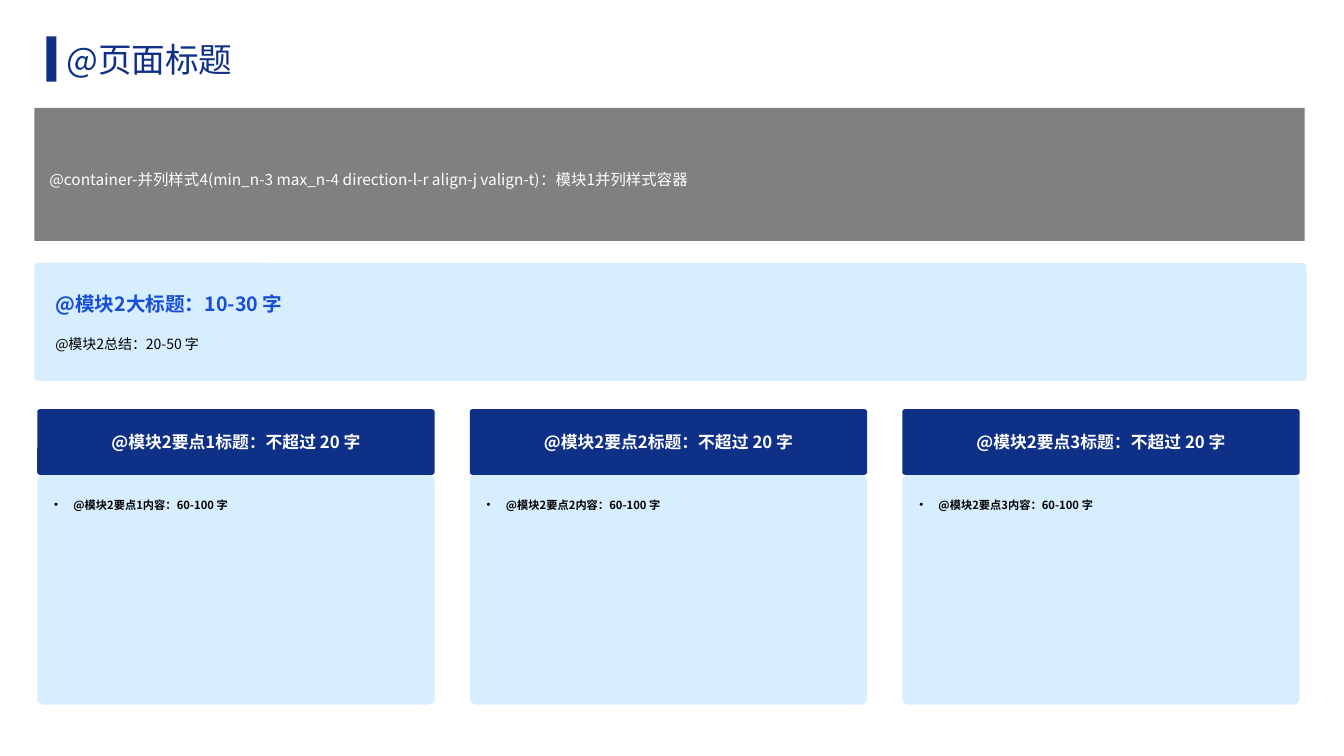
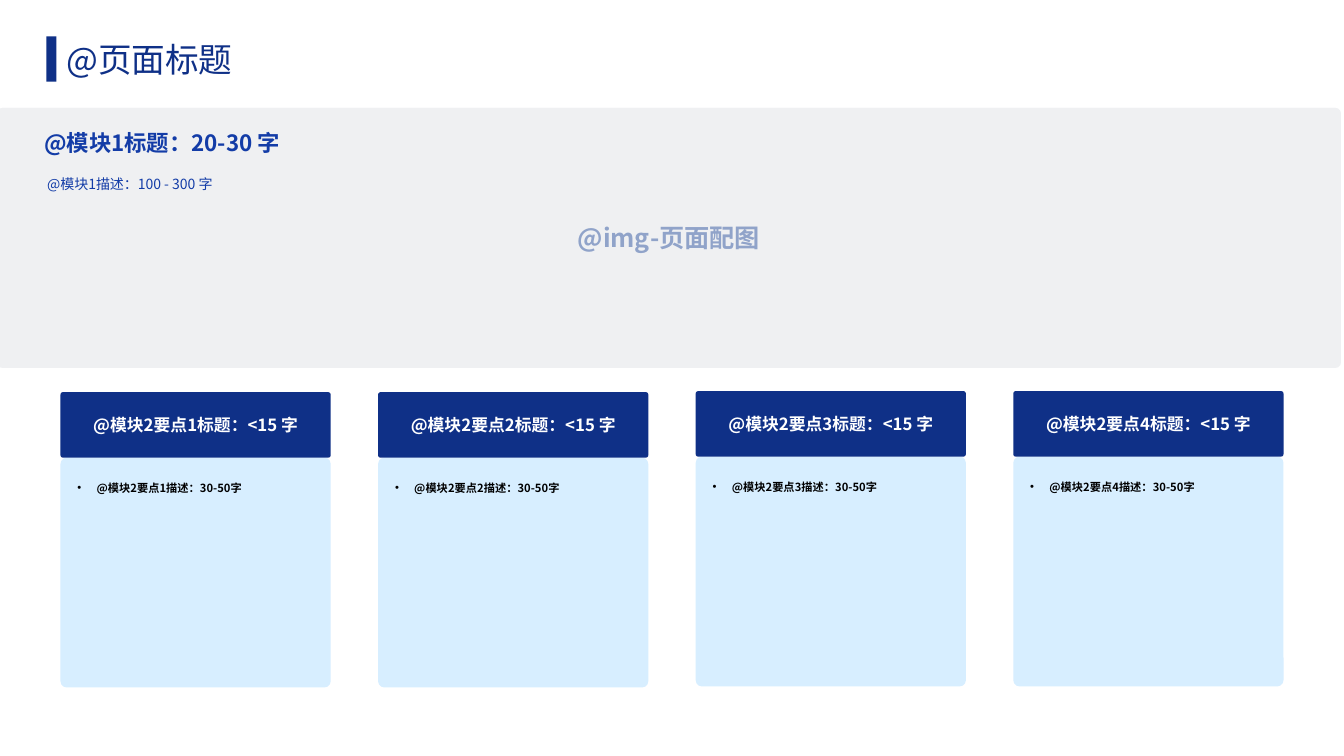
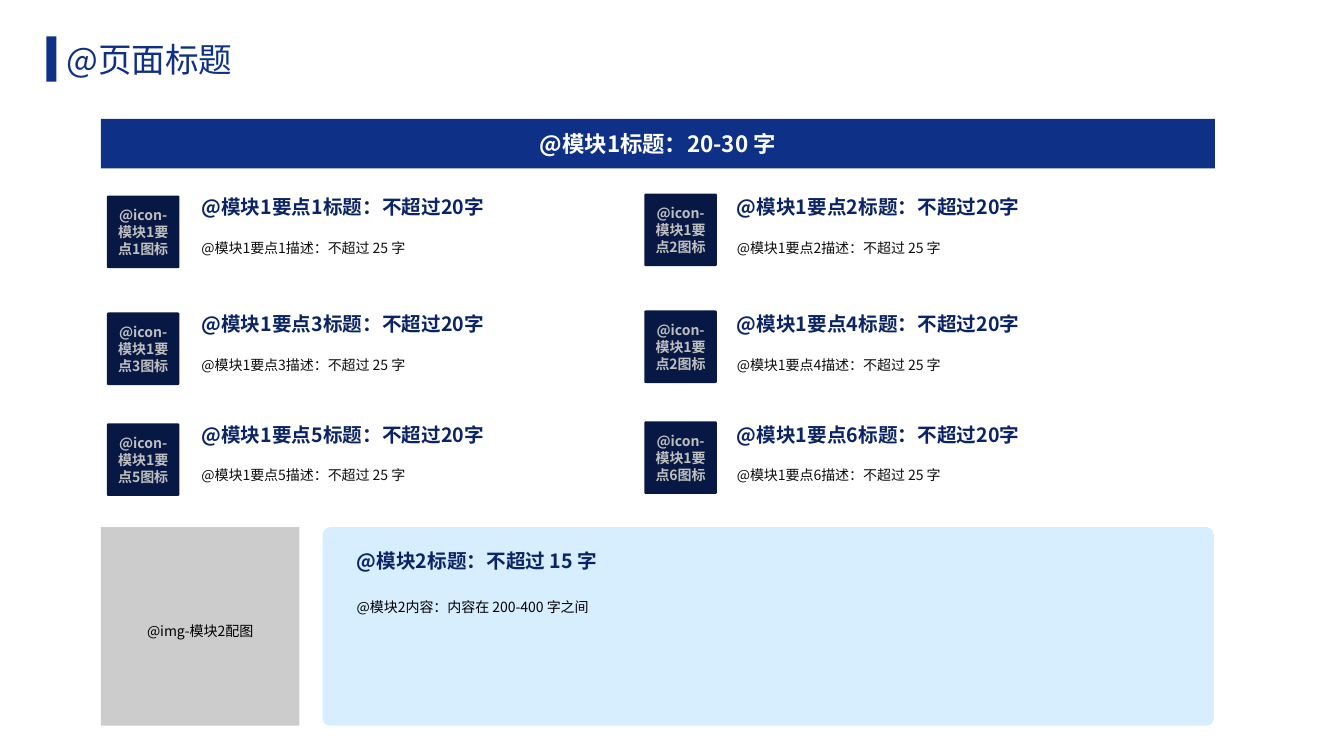
from pptx import Presentation
from pptx.dml.color import RGBColor
from pptx.enum.shapes import MSO_SHAPE
from pptx.enum.text import MSO_ANCHOR, PP_ALIGN
from pptx.oxml.ns import qn
from pptx.util import Inches, Pt
from lxml import etree

FONT = "Noto Sans CJK SC"
NAVY, DARK_NAVY, ICON_NAVY = "0F3087", "0B2465", "081844"
BLUE, BRIGHT_BLUE, MUTED_BLUE = "133CA7", "184DD8", "2E54A1"
PALE_BLUE, WHITE, BLACK, NEAR_BLACK = "D7EEFF", "FFFFFF", "000000", "0D0D0D"
GREY, SILVER, MIST, SMOKE = "808080", "BFBFBF", "D6DCE5", "F2F2F2"
MIDDLE, TOP, CENTER = MSO_ANCHOR.MIDDLE, MSO_ANCHOR.TOP, PP_ALIGN.CENTER


def rgb(color):
    return RGBColor.from_string(color)


def write(sp, text, size, color, bold=False, align=PP_ALIGN.LEFT,
          anchor=TOP, spacing=None, inset=None, bullet=False):
    tf = sp.text_frame
    tf.word_wrap = True
    tf.vertical_anchor = anchor
    if inset is not None:
        tf.margin_left = tf.margin_right = Inches(inset)
        tf.margin_top = tf.margin_bottom = Inches(inset)
    p = tf.paragraphs[0]
    p.text = text
    p.alignment = align
    if spacing:
        p.line_spacing = spacing
    if bullet:
        pPr = p._p.get_or_add_pPr()
        pPr.set("marL", str(Inches(0.19)))
        pPr.set("indent", str(Inches(-0.19)))
        etree.SubElement(pPr, qn("a:buFont")).set("typeface", "Arial")
        etree.SubElement(pPr, qn("a:buChar")).set("char", "•")
    for r in p.runs:
        r.font.name = FONT
        r.font.size = Pt(size)
        r.font.bold = bold
        r.font.color.rgb = rgb(color)
        etree.SubElement(r._r.get_or_add_rPr(), qn("a:ea")).set("typeface", FONT)


def add_text(s, x, y, w, h, text, size, color, **style):
    sp = s.shapes.add_textbox(Inches(x), Inches(y), Inches(w), Inches(h))
    write(sp, text, size, color, **style)


def add_box(s, x, y, w, h, fill, radius=None, opacity=None):
    kind = MSO_SHAPE.RECTANGLE if radius is None else MSO_SHAPE.ROUNDED_RECTANGLE
    sp = s.shapes.add_shape(kind, Inches(x), Inches(y), Inches(w), Inches(h))
    if radius is not None:
        sp.adjustments[0] = radius
    sp.shadow.inherit = False
    sp.line.fill.background()
    sp.fill.solid()
    sp.fill.fore_color.rgb = rgb(fill)
    if opacity is not None:
        clr = sp._element.spPr.find(qn("a:solidFill"))[0]
        etree.SubElement(clr, qn("a:alpha")).set("val", str(opacity * 1000))
    return sp


def add_page(prs):
    """New slide with the shared accent bar and title."""
    s = prs.slides.add_slide(prs.slide_layouts[6])
    add_box(s, 0.46, 0.36, 0.1, 0.45, NAVY)
    add_text(s, 0.56, 0.28, 12.22, 0.61, "@页面标题", 24, NAVY, anchor=MIDDLE)
    return s


def add_card(s, x, y, w, heading, body):
    """Pale card under a navy heading."""
    head_h, body_h = 0.65, 2.28
    sp = add_box(s, x, y + head_h, w, body_h, PALE_BLUE, 0.027)
    write(sp, body, 8, BLACK, bold=True, spacing=1.5, inset=0.15, bullet=True)
    sp = add_box(s, x, y, w, head_h, NAVY, 0.038)
    write(sp, heading, 12, WHITE, bold=True, align=CENTER, anchor=MIDDLE)


def add_icon_point(s, x, y, text_dx, icon_dy, n, icon_n):
    """Icon tile with a heading and a description to its right."""
    add_text(s, x + text_dx, y + 0.37, 4.04, 0.53,
             f"@模块1要点{n}描述：不超过 25 字", 10, NEAR_BLACK, spacing=1.5)
    add_text(s, x + text_dx, y, 4.04, 0.36,
             f"@模块1要点{n}标题：不超过20字", 14, DARK_NAVY, bold=True, anchor=MIDDLE)
    sp = add_box(s, x, y + icon_dy, 0.72, 0.72, ICON_NAVY, 0.022)
    write(sp, f"@icon-模块1要点{icon_n}图标", 10, SILVER, bold=True,
          align=CENTER, anchor=MIDDLE)


def add_summary_panel(s, x, y):
    add_box(s, x, y, 12.62, 1.17, PALE_BLUE, 0.038)
    add_text(s, x + 0.11, y + 0.59, 11.58, 0.45, "@模块2总结：20-50 字",
             10, BLACK, spacing=1.5)
    add_text(s, x + 0.11, y + 0.12, 8.18, 0.45, "@模块2大标题：10-30 字",
             14, BRIGHT_BLUE, bold=True, spacing=1.5)


def add_image_banner(s, x, y):
    w, h = 13.33, 2.58
    sp = add_box(s, x, y, w, h, MIST, 0.022, opacity=45)
    write(sp, "@img-页面配图", 18, MUTED_BLUE, bold=True, align=CENTER, anchor=MIDDLE)
    # Translucent veil over the image area
    add_box(s, x, y, w, h, SMOKE, 0.022, opacity=50)
    add_text(s, x + 0.4, y + 0.54, 7.03, 1.72, "@模块1描述：100 - 300 字",
             10, BLUE, spacing=1.5)
    add_text(s, x + 0.37, y + 0.16, 6.27, 0.36, "@模块1标题：20-30 字",
             16, BLUE, bold=True, anchor=MIDDLE)


def add_image_and_content(s, x, y):
    side = 1.97
    add_box(s, x + 2.2, y, 8.84, side, PALE_BLUE, 0.038)
    add_text(s, x + 2.44, y + 0.58, 8.4, 1.24, "@模块2内容：内容在 200-400 字之间",
             10, BLACK, spacing=1.5)
    add_text(s, x + 2.44, y + 0.11, 8.26, 0.45, "@模块2标题：不超过 15 字",
             14, DARK_NAVY, bold=True, anchor=MIDDLE)
    sp = add_box(s, x, y, side, side, BLACK, opacity=20)
    write(sp, "@img-模块2配图", 10, BLACK, align=CENTER, anchor=MIDDLE, spacing=1.5)


def build_three_cards(prs):
    s = add_page(prs)
    sp = add_box(s, 0.34, 1.07, 12.6, 1.32, GREY)
    write(sp, "@container-并列样式4(min_n-3 max_n-4 direction-l-r align-j valign-t)"
          "：模块1并列样式容器", 11, WHITE, anchor=MIDDLE, spacing=1.5, inset=0.15)
    add_summary_panel(s, 0.34, 2.61)
    for i in range(3):
        add_card(s, 0.37 + i * 4.29, 4.06, 3.94,
                 f"@模块2要点{i + 1}标题：不超过 20 字",
                 f"@模块2要点{i + 1}内容：60-100 字")


def build_four_cards(prs):
    s = add_page(prs)
    add_image_banner(s, -0.03, 1.07)
    for i in range(4):
        # The right pair sits slightly higher
        add_card(s, 0.6 + i * 3.15, 3.89 if i < 2 else 3.88, 2.68,
                 f"@模块2要点{i + 1}标题：<15 字",
                 f"@模块2要点{i + 1}描述：30-50字")


def build_icon_grid(prs):
    s = add_page(prs)
    sp = add_box(s, 1, 1.18, 11.05, 0.49, NAVY)
    write(sp, "@模块1标题：20-30 字", 16, WHITE, bold=True, align=CENTER, anchor=MIDDLE)
    # Left edge, text offset and icon drop of each column
    columns = ((1.06, 0.84, 0.07), (6.39, 0.82, 0.05))
    rows = (1.87, 3.03, 4.13)
    icon_numbers = (1, 2, 3, 2, 5, 6)
    for i, icon_n in enumerate(icon_numbers):
        x, text_dx, icon_dy = columns[i % 2]
        add_icon_point(s, x, rows[i // 2], text_dx, icon_dy, i + 1, icon_n)
    add_image_and_content(s, 1, 5.23)


def main():
    prs = Presentation()
    prs.slide_width, prs.slide_height = Inches(13.33), Inches(7.5)
    build_three_cards(prs)
    build_four_cards(prs)
    build_icon_grid(prs)
    prs.save("out.pptx")


if __name__ == "__main__":
    main()
